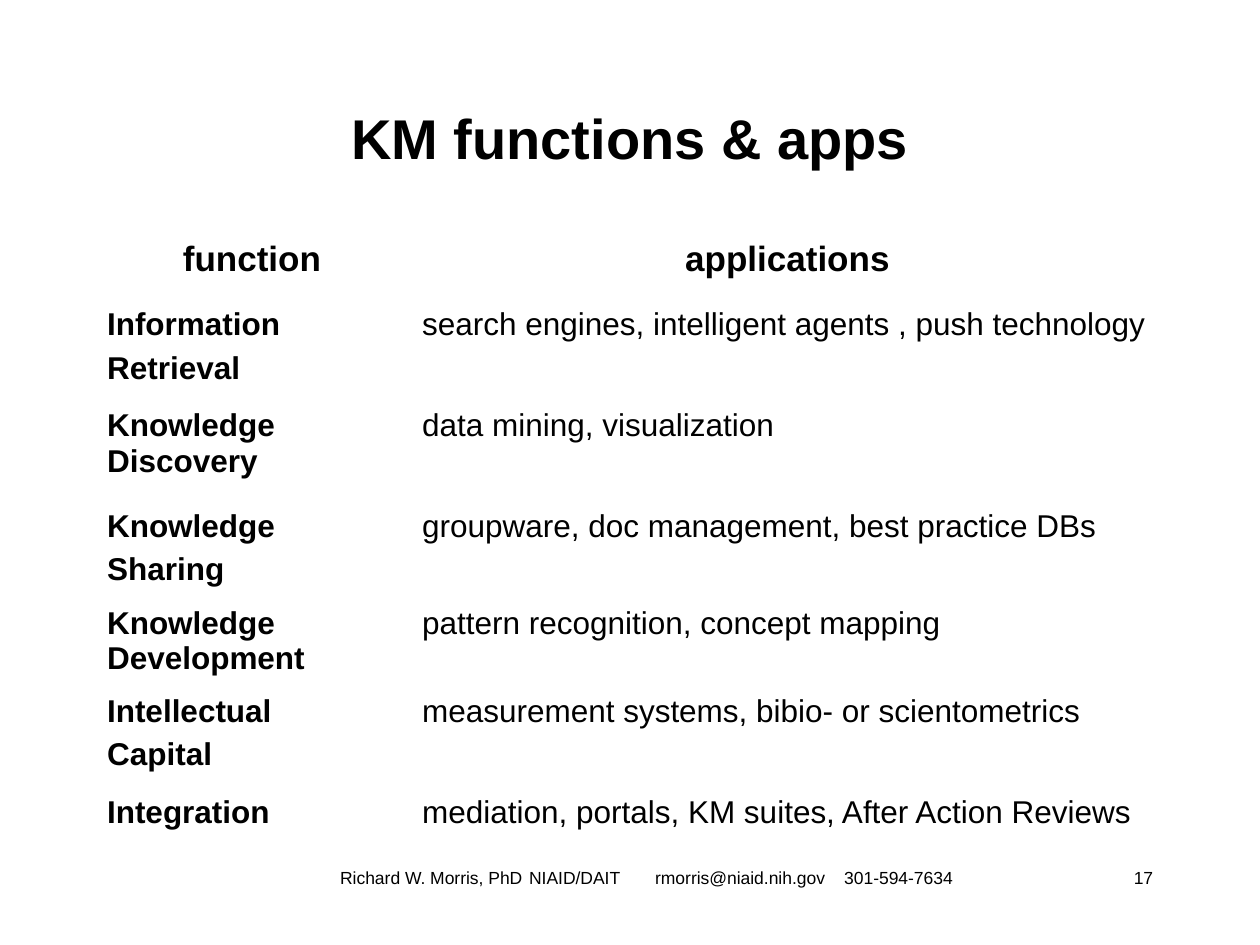
from pptx import Presentation
from pptx.dml.color import RGBColor
from pptx.enum.text import MSO_ANCHOR, PP_ALIGN
from pptx.oxml.ns import qn
from pptx.util import Inches, Pt
from lxml import etree

BLACK = RGBColor(0x00, 0x00, 0x00)
FONT = "Arial"
LEFT, CENTER, RIGHT = PP_ALIGN.LEFT, PP_ALIGN.CENTER, PP_ALIGN.RIGHT
MIDDLE = MSO_ANCHOR.MIDDLE
TITLE_ONLY_LAYOUT = 5
NO_STYLE_NO_GRID = "{2D5ABB26-0587-4C30-8999-92F81FD0307C}"

HEADINGS = ("function", "applications")
# Each line break in a function name starts a new paragraph
FUNCTIONS = [
    ("Information\nRetrieval", "search engines, intelligent agents , push technology"),
    ("Knowledge Discovery", "data mining, visualization"),
    ("Knowledge\nSharing", "groupware, doc management, best practice DBs"),
    ("Knowledge Development", "pattern recognition, concept mapping"),
    ("Intellectual\nCapital", "measurement systems, bibio- or scientometrics"),
    ("Integration", "mediation, portals, KM suites, After Action Reviews"),
]
COLUMN_WIDTHS = (2.5, 6)
ROW_HEIGHTS = (0.54, 0.8, 0.8, 0.77, 0.7, 0.8, 0.8)
CONTACT = ("Richard W. Morris, PhD", "NIAID/DAIT", "rmorris@niaid.nih.gov", "301-594-7634")
CONTACT_TABS = (1.56, 2.39, 3.9)


def write_text(frame, text, size, align=LEFT, bold=False, space=0):
    """Fill a text frame, with space before every paragraph but the first."""
    frame.text = text
    for index, paragraph in enumerate(frame.paragraphs):
        paragraph.alignment = align
        paragraph.space_before = Pt(space if index else 0)
        font = paragraph.font
        font.name, font.size, font.bold = FONT, Pt(size), bold
        font.color.rgb = BLACK


def add_title(slide, text):
    title = slide.shapes.title
    title.left, title.top = Inches(0.75), Inches(0.67)
    title.width, title.height = Inches(8.5), Inches(0.83)
    title.text_frame.vertical_anchor = MIDDLE
    write_text(title.text_frame, text, 32, CENTER, bold=True)


def add_function_table(slide):
    frame = slide.shapes.add_table(
        len(ROW_HEIGHTS), len(COLUMN_WIDTHS), Inches(0.75), Inches(1.85),
        Inches(sum(COLUMN_WIDTHS)), Inches(sum(ROW_HEIGHTS)))
    table = frame.table
    table.first_row = table.horz_banding = False
    table._tbl.tblPr.find(qn("a:tableStyleId")).text = NO_STYLE_NO_GRID
    for column, width in zip(table.columns, COLUMN_WIDTHS):
        column.width = Inches(width)
    for row, height in zip(table.rows, ROW_HEIGHTS):
        row.height = Inches(height)

    for row_index, texts in enumerate([HEADINGS, *FUNCTIONS]):
        is_heading = row_index == 0
        for column_index, text in enumerate(texts):
            cell = table.cell(row_index, column_index)
            cell.fill.background()
            write_text(cell.text_frame, text, 20 if is_heading else 18,
                       CENTER if is_heading else LEFT,
                       bold=is_heading or column_index == 0, space=4.5)


def add_footer(slide, text, left, width, align, tabs=()):
    box = slide.shapes.add_textbox(Inches(left), Inches(6.83), Inches(width), Inches(0.5))
    frame = box.text_frame
    frame.word_wrap = True
    frame.text = text
    if tabs:
        properties = frame.paragraphs[0]._p.get_or_add_pPr()
        tab_list = etree.SubElement(properties, qn("a:tabLst"))
        for position in tabs:
            etree.SubElement(tab_list, qn("a:tab"), pos=str(Inches(position)), algn="l")
    write_text(frame, text, 10, align)
    return frame


def main():
    presentation = Presentation()
    presentation.slide_width, presentation.slide_height = Inches(10), Inches(7.5)
    slide = presentation.slides.add_slide(presentation.slide_layouts[TITLE_ONLY_LAYOUT])

    add_title(slide, "KM functions & apps")
    add_function_table(slide)

    # Footer: contact details on tab stops, then the page number
    contact = add_footer(slide, "\t".join(CONTACT), 2.5, 5.17, LEFT, CONTACT_TABS)
    contact.margin_left = Inches(0.2)
    add_footer(slide, "17", 7.67, 1.58, RIGHT)

    presentation.save("out.pptx")


if __name__ == "__main__":
    main()
